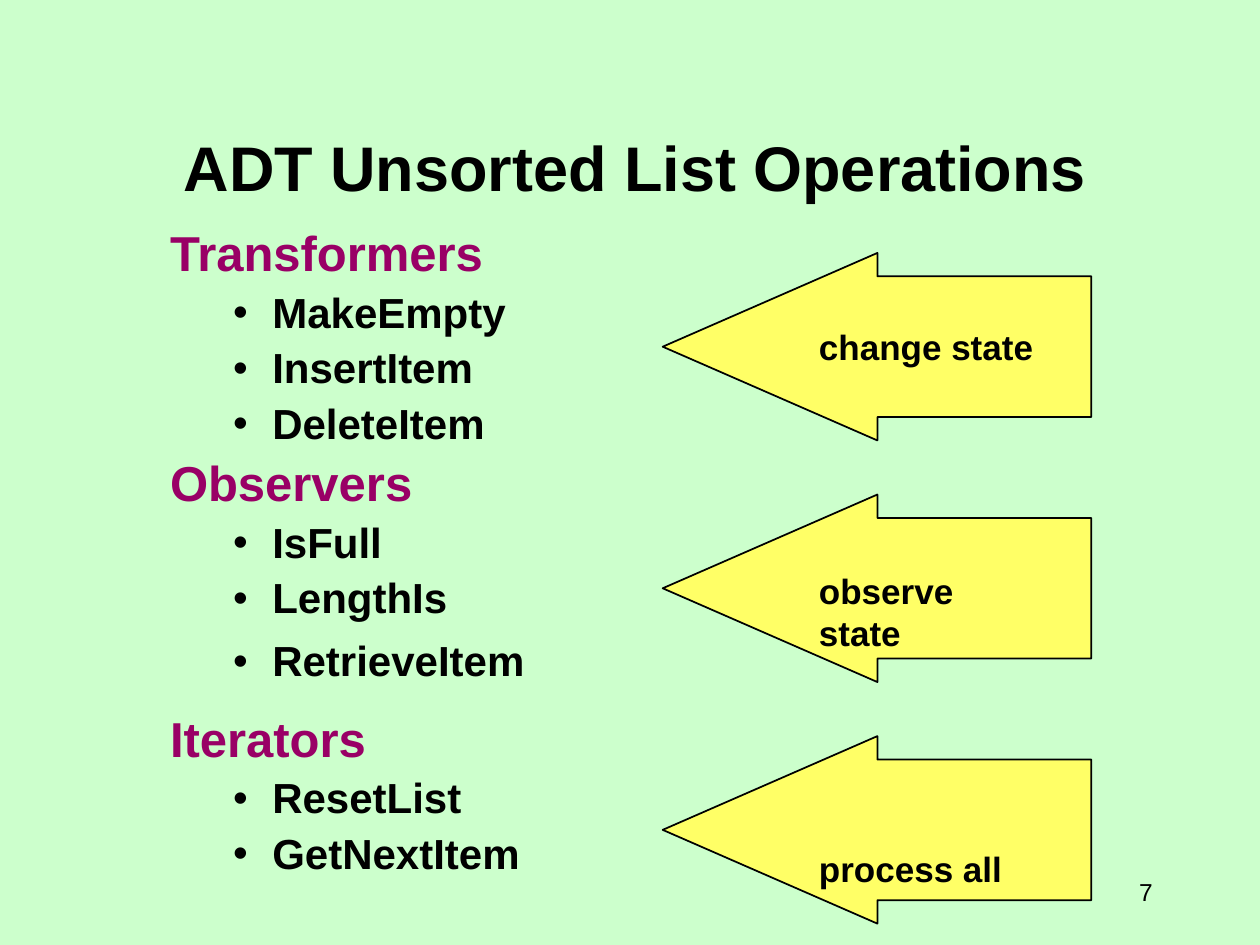
from pptx import Presentation, util as u
from pptx.dml.color import RGBColor
from pptx.enum import shapes, text
from pptx.oxml.ns import qn
from lxml import etree

Cm, Pt = u.Cm, u.Pt
HUES = {"back": "CCFFCC", "ink": "000000", "head": "990066", "arrow": "FFFF66"}

# group name, space before it, operations
GROUPS = [
    ("Transformers", 0, ["MakeEmpty", "InsertItem", "DeleteItem"]),
    ("Observers", 6.4, ["IsFull", "LengthIs", "RetrieveItem"]),
    ("Iterators", 16.5, ["ResetList", "GetNextItem"]),
]
# label beside each group, and its top
LABELS = [("change state", 6.43), ("observe state", 11.35), ("process all", 16.95)]


def hue(name):
    return RGBColor.from_string(HUES[name])


def style(para, size, color="ink", bold=True, **form):
    font = {"name": "Arial", "size": Pt(size), "bold": bold}
    for key, val in font.items():
        setattr(para.font, key, val)
    para.font.color.rgb = hue(color)
    for key, val in form.items():
        setattr(para, key, val)


def add_box(slide, x, y, w, h, **form):
    frame = slide.shapes.add_textbox(Cm(x), Cm(y), Cm(w), Cm(h)).text_frame
    for key, val in {"word_wrap": True, **form}.items():
        setattr(frame, key, val)
    return frame


def add_line(slide, words, spot, size, bold=True, align=text.PP_ALIGN.LEFT, **form):
    para = add_box(slide, *spot, **form).paragraphs[0]
    para.text = words
    style(para, size, bold=bold, alignment=align)


def indent(para, left, hang, mark=None):
    props = para._p.get_or_add_pPr()
    props.set("marL", str(Cm(left)))
    props.set("indent", str(-Cm(hang)))
    if mark:
        tint = etree.SubElement(props, qn("a:buClr"))
        etree.SubElement(tint, qn("a:srgbClr"), val=HUES["ink"])
        etree.SubElement(props, qn("a:buFont"), typeface="Arial")
        etree.SubElement(props, qn("a:buChar"), char=mark)


def add_list(slide):
    frame = add_box(slide, 3.18, 4.5, 9.8, 13.5)
    for row, (name, gap, items) in enumerate(GROUPS):
        para = frame.add_paragraph() if row else frame.paragraphs[0]
        para.text = name
        indent(para, 0.97, 0.97)
        style(para, 28, "head", line_spacing=0.9, space_before=Pt(gap))
        for item in items:
            para = frame.add_paragraph()
            para.text = item
            para.level = 1
            indent(para, 2.06, 0.79, "•")
            gap = 10 if item == "RetrieveItem" else 5.7
            style(para, 24, line_spacing=0.9, space_before=Pt(gap))


def add_arrow(slide, top):
    arrow = slide.shapes.add_shape(shapes.MSO_SHAPE.LEFT_ARROW,
                                   Cm(13.36), Cm(top), Cm(8.64), Cm(3.78))
    arrow.adjustments[0], arrow.adjustments[1] = 0.75, 1.145
    arrow.shadow.inherit = False
    arrow.fill.solid()
    arrow.fill.fore_color.rgb = hue("arrow")
    arrow.line.color.rgb = hue("ink")
    arrow.line.width = Pt(1)


def main():
    deck = Presentation()
    deck.slide_width, deck.slide_height = Cm(25.4), Cm(19.05)
    slide = deck.slides.add_slide(deck.slide_layouts[6])
    slide.background.fill.solid()
    slide.background.fill.fore_color.rgb = hue("back")

    # Title and list of operations
    add_line(slide, "ADT Unsorted List Operations", (0.84, 1.9, 23.93, 2.34), 36,
             align=text.PP_ALIGN.CENTER, vertical_anchor=text.MSO_ANCHOR.BOTTOM)
    add_list(slide)

    # Arrows at an equal pitch, then their labels
    for row in range(len(LABELS)):
        add_arrow(slide, 5.1 + 4.87 * row)
    for words, top in LABELS:
        add_line(slide, words, (16.26, top, 4.93, 1.1), 20)

    # Slide number
    add_line(slide, "7", (21.79, 17.35, 1.7, 1.27), 14, bold=False,
             align=text.PP_ALIGN.RIGHT, vertical_anchor=text.MSO_ANCHOR.MIDDLE)
    deck.save("out.pptx")


if __name__ == "__main__":
    main()
